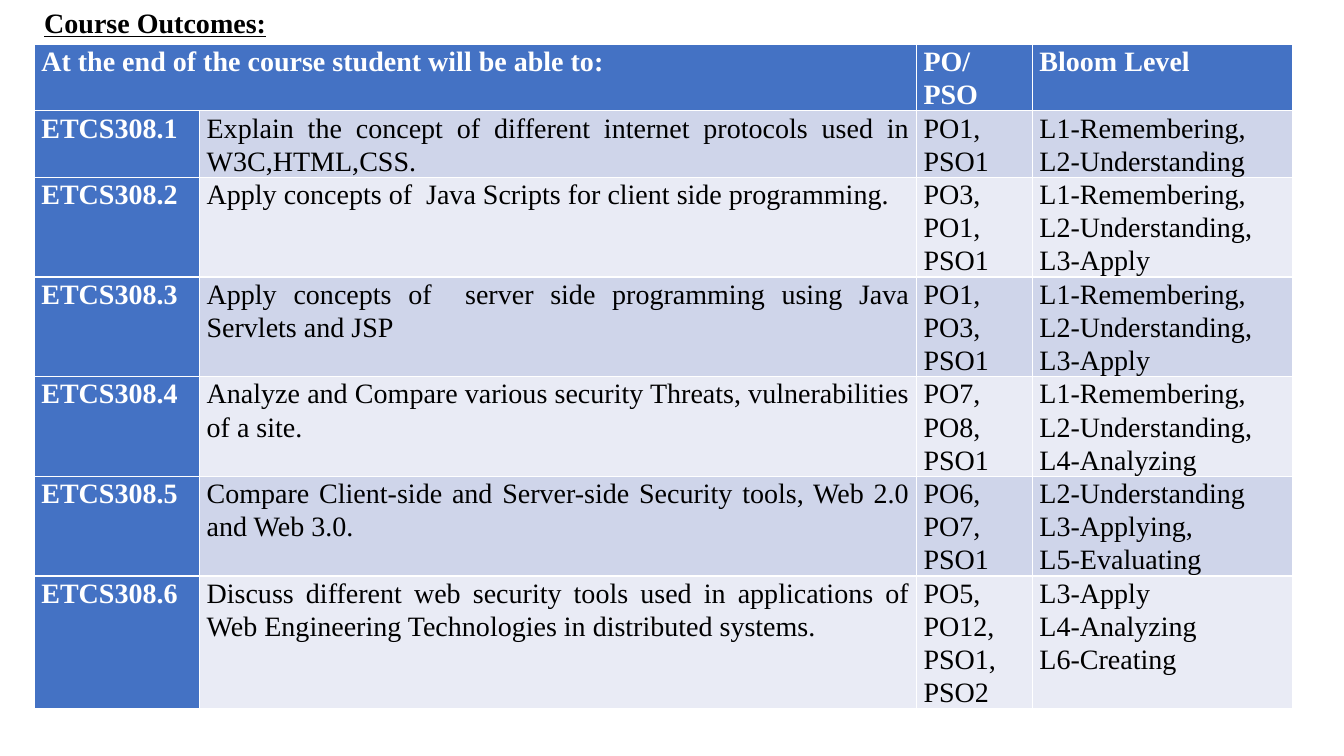
from pptx import Presentation
from pptx.dml.color import RGBColor
from pptx.enum.text import MSO_ANCHOR, MSO_AUTO_SIZE, PP_ALIGN
from pptx.util import Inches, Pt

TITLE = "Course Outcomes:"
HEADER = ("At the end of the course student will be able to:", "", "PO/ PSO", "Bloom Level")
OUTCOMES = [
    ("Explain the concept of different internet protocols used in W3C,HTML,CSS.",
     ["PO1,", "PSO1"], ["L1-Remembering, L2-Understanding"]),
    ("Apply concepts of  Java Scripts for client side programming.",
     ["PO3, PO1, PSO1"], ["L1-Remembering, L2-Understanding, L3-Apply"]),
    ("Apply concepts of  server side programming using Java Servlets and JSP",
     ["PO1, PO3, PSO1"], ["L1-Remembering, L2-Understanding, L3-Apply"]),
    ("Analyze and Compare various security Threats, vulnerabilities of a site.",
     ["PO7, PO8, PSO1"], ["L1-Remembering, L2-Understanding, L4-Analyzing"]),
    ("Compare Client-side and Server-side Security tools, Web 2.0 and Web 3.0.",
     ["PO6, PO7, PSO1"], ["L2-Understanding\nL3-Applying,\nL5-Evaluating"]),
    ("Discuss different web security tools used in applications of "
     "Web Engineering Technologies in distributed systems.",
     ["PO5, PO12,", "PSO1,", "PSO2"], ["L3-Apply", "L4-Analyzing", "L6-Creating"]),
]
COLUMNS = (1.64, 7.11, 1.15, 2.58)
ROW_LINES = (2, 2, 3, 3, 3, 3, 4)
LINE_HEIGHT = 0.31
LEFT, TOP = 0.34, 0.44
FONT, SIZE = "Times New Roman", Pt(20)
WHITE = RGBColor(0xFF, 0xFF, 0xFF)
BLACK = RGBColor(0, 0, 0)
BLUE = RGBColor(0x44, 0x72, 0xC4)
BANDS = (RGBColor(0xE9, 0xEB, 0xF5), RGBColor(0xCF, 0xD5, 0xEA))


def set_font(p, color, bold):
    p.font.name, p.font.size = FONT, SIZE
    p.font.bold, p.font.color.rgb = bold, color


def fill_cell(cell, paragraphs, heading, band):
    cell.margin_left = cell.margin_right = Inches(0.07)
    cell.margin_top = cell.margin_bottom = 0
    cell.fill.solid()
    cell.fill.fore_color.rgb = BLUE if heading else band
    tf = cell.text_frame
    for i, text in enumerate(paragraphs):
        p = tf.add_paragraph() if i else tf.paragraphs[0]
        p.text = text
        p.alignment = PP_ALIGN.LEFT if "\n" in text else PP_ALIGN.JUSTIFY
        p.line_spacing = 1.07
        set_font(p, WHITE if heading else BLACK, heading)


def add_outcomes(s):
    rows = [[[text] for text in HEADER]]
    for n, (outcome, codes, levels) in enumerate(OUTCOMES, 1):
        rows.append([[f"ETCS308.{n}"], [outcome], codes, levels])
    table = s.shapes.add_table(
        len(rows), len(COLUMNS), Inches(LEFT), Inches(TOP),
        Inches(sum(COLUMNS)), Inches(sum(ROW_LINES) * LINE_HEIGHT)).table
    table.first_col = True
    for column, width in zip(table.columns, COLUMNS):
        column.width = Inches(width)
    for row, lines in zip(table.rows, ROW_LINES):
        row.height = Inches(lines * LINE_HEIGHT)
    for r, row in enumerate(rows):
        for c, paragraphs in enumerate(row):
            fill_cell(table.cell(r, c), paragraphs, r == 0 or c == 0, BANDS[r % 2])
    table.cell(0, 0).merge(table.cell(0, 1))


def add_title(s):
    sp = s.shapes.add_textbox(Inches(LEFT), 0, Inches(12.03), Inches(TOP))
    tf = sp.text_frame
    tf.word_wrap = True
    tf.auto_size = MSO_AUTO_SIZE.SHAPE_TO_FIT_TEXT
    tf.vertical_anchor = MSO_ANCHOR.MIDDLE
    p = tf.paragraphs[0]
    p.text = TITLE
    set_font(p, BLACK, True)
    p.font.underline = True


def main():
    """Build the course outcomes slide."""
    prs = Presentation()
    prs.slide_width, prs.slide_height = Inches(13.33), Inches(7.5)
    s = prs.slides.add_slide(prs.slide_layouts[6])
    add_outcomes(s)
    add_title(s)
    prs.save("out.pptx")


if __name__ == "__main__":
    main()
